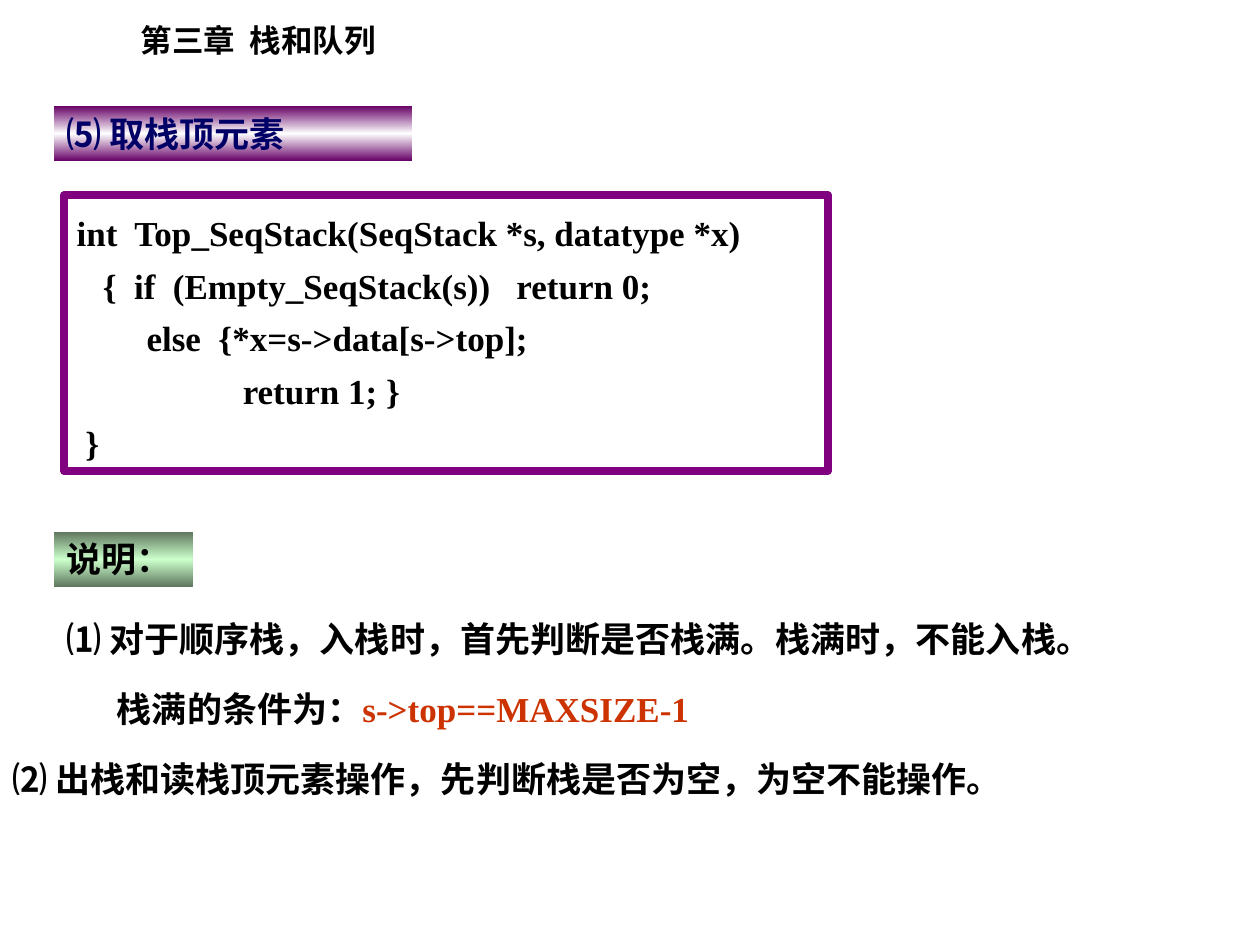
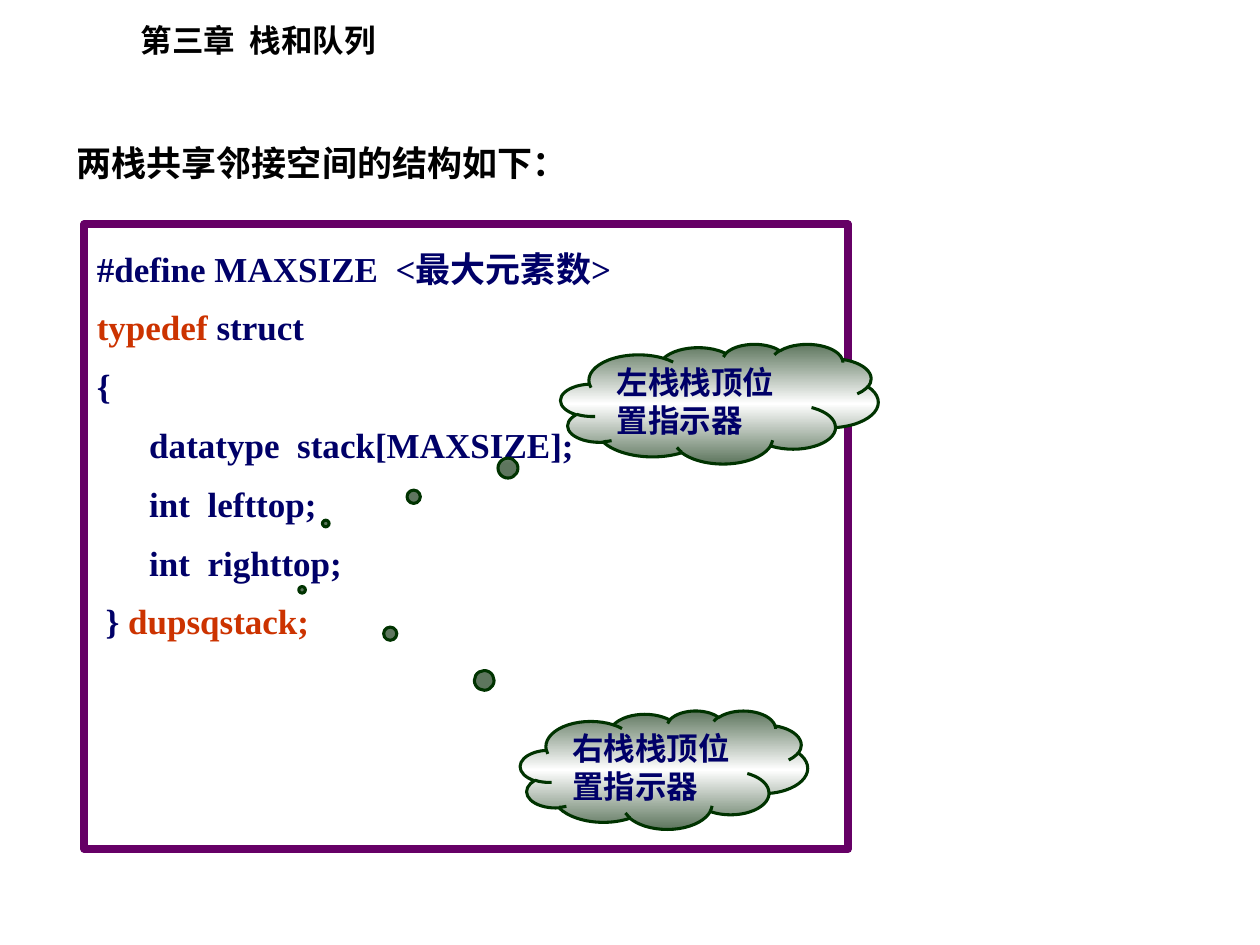
from copy import deepcopy

from pptx import Presentation
from pptx.dml.color import RGBColor
from pptx.enum.shapes import MSO_SHAPE
from pptx.enum.text import MSO_ANCHOR, PP_ALIGN
from pptx.oxml.ns import qn
from pptx.util import Inches, Pt

RECTANGLE = MSO_SHAPE.RECTANGLE
CLOUD = MSO_SHAPE.CLOUD_CALLOUT
TOP, MIDDLE = MSO_ANCHOR.TOP, MSO_ANCHOR.MIDDLE
LEFT = PP_ALIGN.LEFT

FONT = "Times New Roman"
CHAPTER = "第三章  栈和队列"
BLACK, WHITE = "000000", "FFFFFF"
NAVY, CODE_NAVY, RED = "000066", "000068", "CC3300"
PURPLE, LIGHT_PURPLE = "660066", "800080"
GREY_GREEN, PALE_GREEN, DARK_GREEN = "5E765E", "CCFFCC", "003300"


def rgb(color):
    return RGBColor.from_string(color)


class Deck:
    """Holds the presentation, its text style and the current slide."""

    def __init__(self):
        self.presentation = Presentation()
        self.presentation.slide_width = Inches(10)
        self.presentation.slide_height = Inches(7.5)
        self.slide = None

    def new_slide(self):
        layout = self.presentation.slide_layouts[6]
        self.slide = self.presentation.slides.add_slide(layout)
        self.text((1.02, 0.12, 2.7, 0.4), [CHAPTER], size=18)

    def add_lines(self, shape, lines, size=20, color=BLACK, spacing=1.0, anchor=TOP):
        """Fill a shape; a line is a string or a list of (text, color) pairs."""
        frame = shape.text_frame
        frame.word_wrap = True
        frame.vertical_anchor = anchor
        for index, line in enumerate(lines):
            paragraph = frame.add_paragraph() if index else frame.paragraphs[0]
            paragraph.alignment = LEFT
            paragraph.line_spacing = spacing
            parts = [(line, color)] if isinstance(line, str) else line
            for text, part_color in parts:
                run = paragraph.add_run()
                run.text = text
                run.font.name = FONT
                run.font.size = Pt(size)
                run.font.bold = True
                run.font.color.rgb = rgb(part_color)

    def text(self, place, lines, **style):
        box = self.slide.shapes.add_textbox(*map(Inches, place))
        self.add_lines(box, lines, **style)

    def shape(self, kind, place, line=None, width=1.0):
        shape = self.slide.shapes.add_shape(kind, *map(Inches, place))
        shape.shadow.inherit = False
        shape.fill.background()
        if line:
            shape.line.color.rgb = rgb(line)
            shape.line.width = Pt(width)
        else:
            shape.line.fill.background()
        return shape

    def shade(self, shape, edge, middle):
        """Vertical gradient from edge to middle and back to edge."""
        shape.fill.gradient()
        shape.fill.gradient_angle = 90
        stops = shape._element.spPr.find(qn("a:gradFill")).find(qn("a:gsLst"))
        stops.insert(1, deepcopy(stops[0]))
        colors = (edge, middle, edge)
        for stop, position, color in zip(shape.fill.gradient_stops, (0, 0.5, 1), colors):
            stop.position = position
            stop.color.rgb = rgb(color)

    def heading(self, place, text, edge, middle, color):
        bar = self.shape(RECTANGLE, place)
        self.shade(bar, edge, middle)
        self.add_lines(bar, [text], color=color)

    def code(self, place, lines, border, **style):
        frame = self.shape(RECTANGLE, place, border, 4.5)
        self.add_lines(frame, lines, **style)

    def cloud(self, place, text, tail):
        cloud = self.shape(CLOUD, place, DARK_GREEN, 1.75)
        for index, offset in enumerate(tail):
            cloud.adjustments[index] = offset
        self.shade(cloud, GREY_GREEN, WHITE)
        self.add_lines(cloud, [text], size=18, color=CODE_NAVY, anchor=MIDDLE)


def add_top_element_slide(deck):
    deck.new_slide()
    deck.heading((0.43, 0.84, 2.84, 0.44), "⑸ 取栈顶元素", PURPLE, WHITE, NAVY)
    deck.code((0.51, 1.55, 6.06, 2.19), [
        "int  Top_SeqStack(SeqStack *s, datatype *x)",
        "   {  if  (Empty_SeqStack(s))   return 0;",
        "        else  {*x=s->data[s->top];",
        "                   return 1; }",
        " }",
    ], LIGHT_PURPLE, spacing=1.25)
    deck.heading((0.43, 4.22, 1.1, 0.44), "说明：", GREY_GREEN, PALE_GREEN, BLACK)
    deck.text((0.43, 4.77, 8.51, 0.52),
              ["⑴ 对于顺序栈，入栈时，首先判断是否栈满。栈满时，不能入栈。"], spacing=1.25)
    deck.text((0.83, 5.32, 6.46, 0.52),
              [[("栈满的条件为：", BLACK), ("s->top==MAXSIZE-1", RED)]], spacing=1.25)
    deck.text((0, 5.8, 8.96, 0.6),
              ["⑵ 出栈和读栈顶元素操作，先判断栈是否为空，为空不能操作。"], spacing=1.5)


def add_shared_space_slide(deck):
    deck.new_slide()
    deck.code((0.67, 1.78, 6.06, 4.96), [
        "#define MAXSIZE  <最大元素数>",
        [("typedef", RED), (" struct", CODE_NAVY)],
        "{",
        "      datatype  stack[MAXSIZE];",
        "      int  lefttop;",
        "      int  righttop;",
        [(" } ", CODE_NAVY), ("dupsqstack;", RED)],
    ], PURPLE, color=CODE_NAVY, spacing=1.4)
    deck.text((0.51, 1.07, 4.25, 0.44), ["两栈共享邻接空间的结构如下："])
    deck.cloud((4.45, 2.73, 2.52, 0.95), "左栈栈顶位置指示器", (-1.24, 1.0))
    deck.cloud((4.13, 5.64, 2.28, 0.94), "右栈栈顶位置指示器", (-1.26, -1.52))


def main():
    deck = Deck()
    add_top_element_slide(deck)
    add_shared_space_slide(deck)
    deck.presentation.save("out.pptx")


if __name__ == "__main__":
    main()
